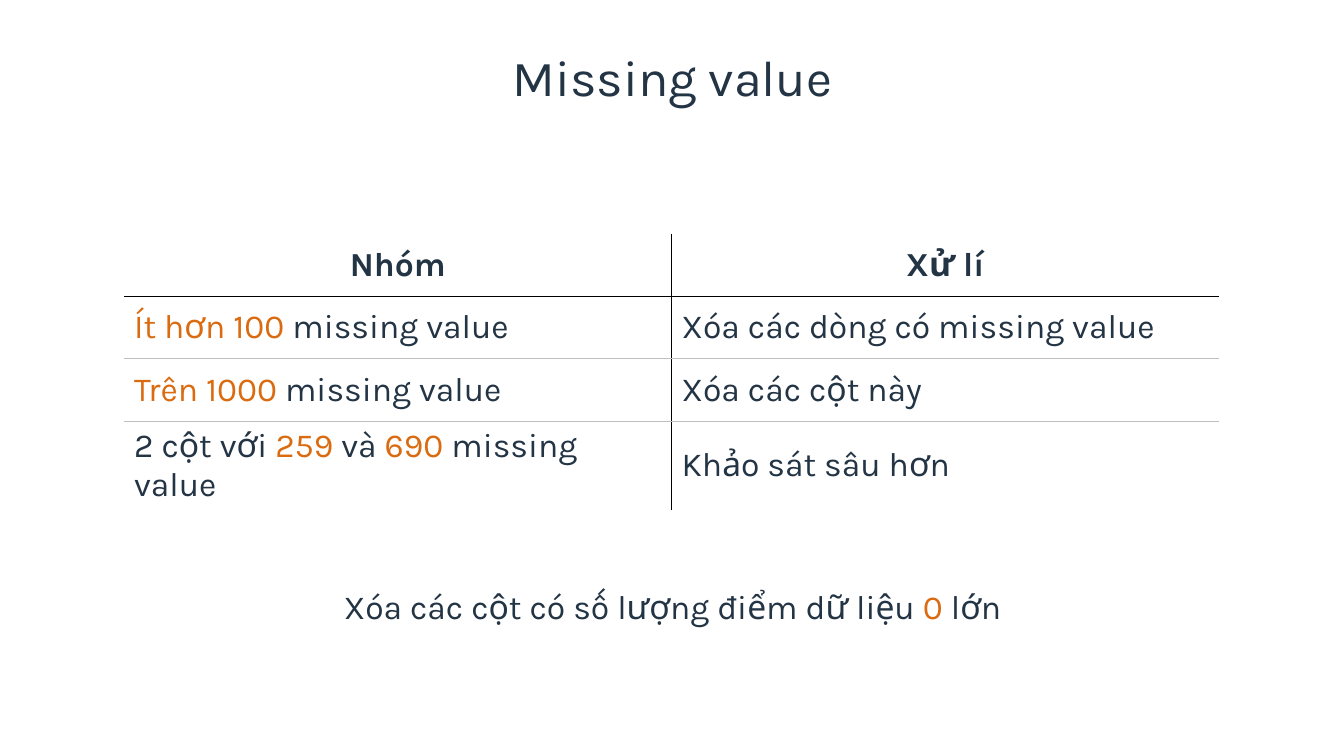
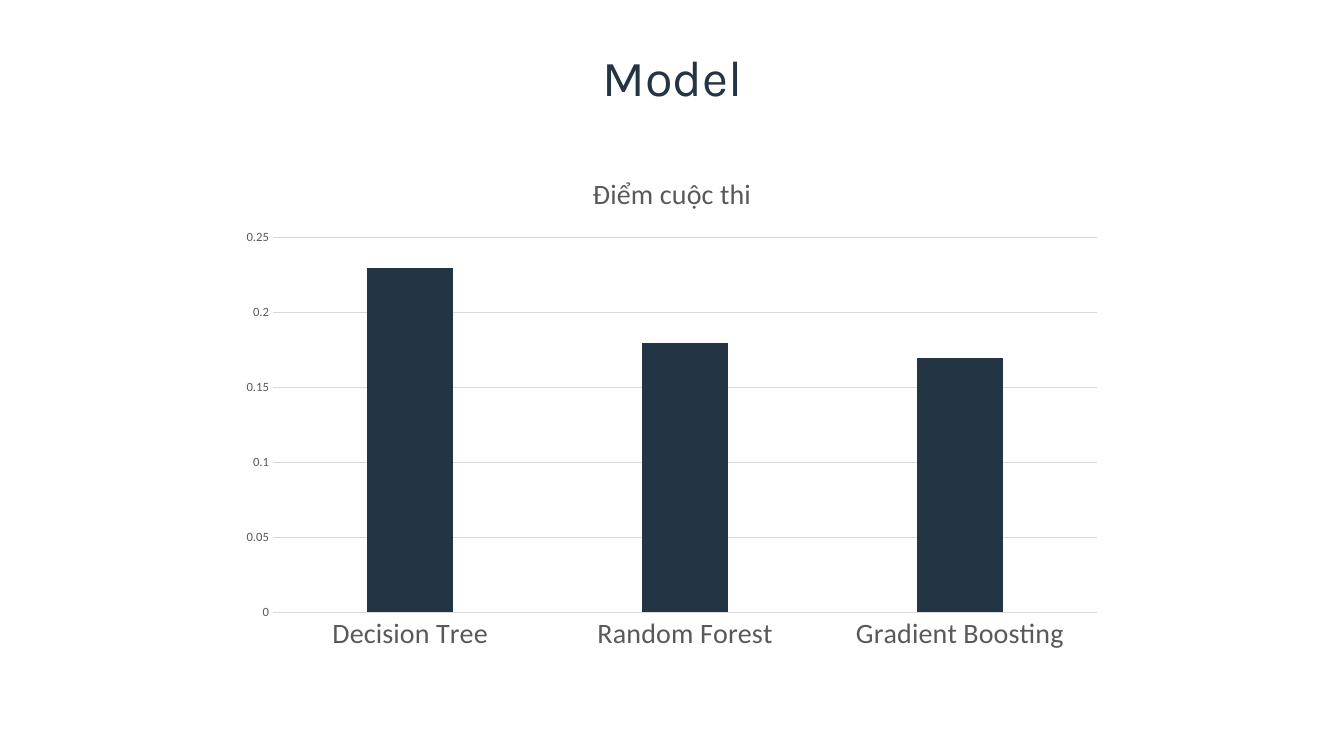
from lxml.etree import SubElement
from pptx import Presentation
from pptx.chart.data import CategoryChartData
from pptx.dml.color import RGBColor
from pptx.enum.chart import XL_CHART_TYPE as ChartType, XL_TICK_MARK as TickMark
from pptx.enum.text import MSO_ANCHOR as Anchor, MSO_AUTO_SIZE as AutoSize, PP_ALIGN as Align
from pptx.oxml.ns import qn
from pptx.util import Inches, Pt

NAVY = "233445"
ORANGE = "DA6B10"
BLACK = "000000"
SILVER = "BFBFBF"
GRID = "D9D9D9"
GRAY = "595959"
TEXT_FONT = "Karla"
CHART_FONT = "Calibri"
TITLE_ONLY = 5


def color(value):
    return RGBColor.from_string(value)


def box(left, top, width, height):
    return [Inches(length) for length in (left, top, width, height)]


def style_font(font, size, value, name=TEXT_FONT, bold=False):
    font.name = name
    font.size = Pt(size)
    font.bold = bold
    font.color.rgb = color(value)


def add_runs(paragraph, runs, size=24, bold=False):
    for text, value in runs:
        run = paragraph.add_run()
        run.text = text
        style_font(run.font, size, value, bold=bold)


def add_titled_slide(presentation, text):
    slide = presentation.slides.add_slide(presentation.slide_layouts[TITLE_ONLY])
    title = slide.shapes.title
    title.left, title.top, title.width, title.height = box(3.04, 0.46, 7.26, 0.59)
    frame = title.text_frame
    frame.auto_size = AutoSize.NONE
    frame.vertical_anchor = Anchor.MIDDLE
    frame.margin_left = frame.margin_right = Inches(0.1)
    frame.margin_top = frame.margin_bottom = Inches(0.1)
    paragraph = frame.paragraphs[0]
    paragraph.alignment = Align.CENTER
    add_runs(paragraph, [(text, NAVY)], 36)
    return slide


def set_borders(cell, **sides):
    properties = cell._tc.get_or_add_tcPr()
    for side in "LRTB":
        line = SubElement(properties, qn(f"a:ln{side}"), w=str(Pt(1)))
        value = sides.get(side)
        if value:
            fill = SubElement(line, qn("a:solidFill"))
            SubElement(fill, qn("a:srgbClr"), val=value)
        else:
            SubElement(line, qn("a:noFill"))


def add_ruled_table(slide, rows, left, top, column_width, row_height):
    row_count, column_count = len(rows), len(rows[0])
    area = box(left, top, column_width * column_count, row_height * row_count)
    table = slide.shapes.add_table(row_count, column_count, *area).table
    table.first_row = table.horz_banding = False
    rules = [None, BLACK] + [SILVER] * (row_count - 2) + [None]
    dividers = [None] + [BLACK] * (column_count - 1) + [None]
    for i, row in enumerate(rows):
        for j, runs in enumerate(row):
            cell = table.cell(i, j)
            set_borders(cell, L=dividers[j], R=dividers[j + 1], T=rules[i], B=rules[i + 1])
            cell.fill.background()
            cell.vertical_anchor = Anchor.MIDDLE
            paragraph = cell.text_frame.paragraphs[0]
            paragraph.alignment = Align.LEFT if i else Align.CENTER
            add_runs(paragraph, runs, bold=i == 0)


def add_note(slide, runs, *area):
    frame = slide.shapes.add_textbox(*box(*area)).text_frame
    frame.word_wrap = True
    paragraph = frame.paragraphs[0]
    paragraph.alignment = Align.CENTER
    paragraph.line_spacing = 1.5
    add_runs(paragraph, runs)


def style_line(line, value):
    line.color.rgb = color(value)
    line.width = Pt(0.75)


def style_axis(axis, size):
    axis.major_tick_mark = axis.minor_tick_mark = TickMark.NONE
    style_font(axis.tick_labels.font, size, GRAY, CHART_FONT)


def add_column_chart(slide, title, scores, *area):
    data = CategoryChartData()
    data.categories = list(scores)
    data.add_series("Series 1", list(scores.values()))
    chart = slide.shapes.add_chart(ChartType.COLUMN_CLUSTERED, *box(*area), data).chart
    style_font(chart.font, 10, BLACK, CHART_FONT)
    chart.has_legend = False
    chart.has_title = True
    chart.chart_title.include_in_layout = False
    run = chart.chart_title.text_frame.paragraphs[0].add_run()
    run.text = title
    style_font(run.font, 20, GRAY, CHART_FONT)

    style_axis(chart.category_axis, 20)
    style_line(chart.category_axis.format.line, GRID)
    value_axis = chart.value_axis
    style_axis(value_axis, 9)
    value_axis.minimum_scale, value_axis.maximum_scale = 0, 0.25
    value_axis.major_unit = 0.05
    value_axis.format.line.fill.background()
    style_line(value_axis.major_gridlines.format.line, GRID)

    plot = chart.plots[0]
    plot.gap_width, plot.overlap = 219, -27
    plot.vary_by_categories = False
    fill = plot.series[0].format.fill
    fill.solid()
    fill.fore_color.rgb = color(NAVY)


def add_missing_value_slide(presentation):
    slide = add_titled_slide(presentation, "Missing value")
    rows = [
        [[("Nhóm", NAVY)], [("Xử lí", NAVY)]],
        [[("Ít hơn 100 ", ORANGE), ("missing value", NAVY)],
         [("Xóa các dòng có missing value", NAVY)]],
        [[("Trên 1000 ", ORANGE), ("missing value", NAVY)],
         [("Xóa các cột này", NAVY)]],
        [[("2 cột với ", NAVY), ("259", ORANGE), (" và ", NAVY),
          ("690", ORANGE), (" missing value", NAVY)],
         [("Khảo sát sâu hơn", NAVY)]],
    ]
    add_ruled_table(slide, rows, 1.23, 2.32, 5.43, 0.62)
    note = [("Xóa các cột có số lượng điểm dữ liệu ", NAVY), ("0", ORANGE), (" lớn", NAVY)]
    add_note(slide, note, 2.26, 5.56, 8.82, 0.64)


def add_model_slide(presentation):
    slide = add_titled_slide(presentation, "Model")
    scores = {"Decision Tree": 0.23, "Random Forest": 0.18, "Gradient Boosting": 0.17}
    add_column_chart(slide, "Điểm cuộc thi", scores, 2.27, 1.52, 8.79, 5.04)


def main():
    presentation = Presentation()
    presentation.slide_width = Inches(13.33)
    presentation.slide_height = Inches(7.5)
    add_missing_value_slide(presentation)
    add_model_slide(presentation)
    presentation.save("out.pptx")


if __name__ == "__main__":
    main()
